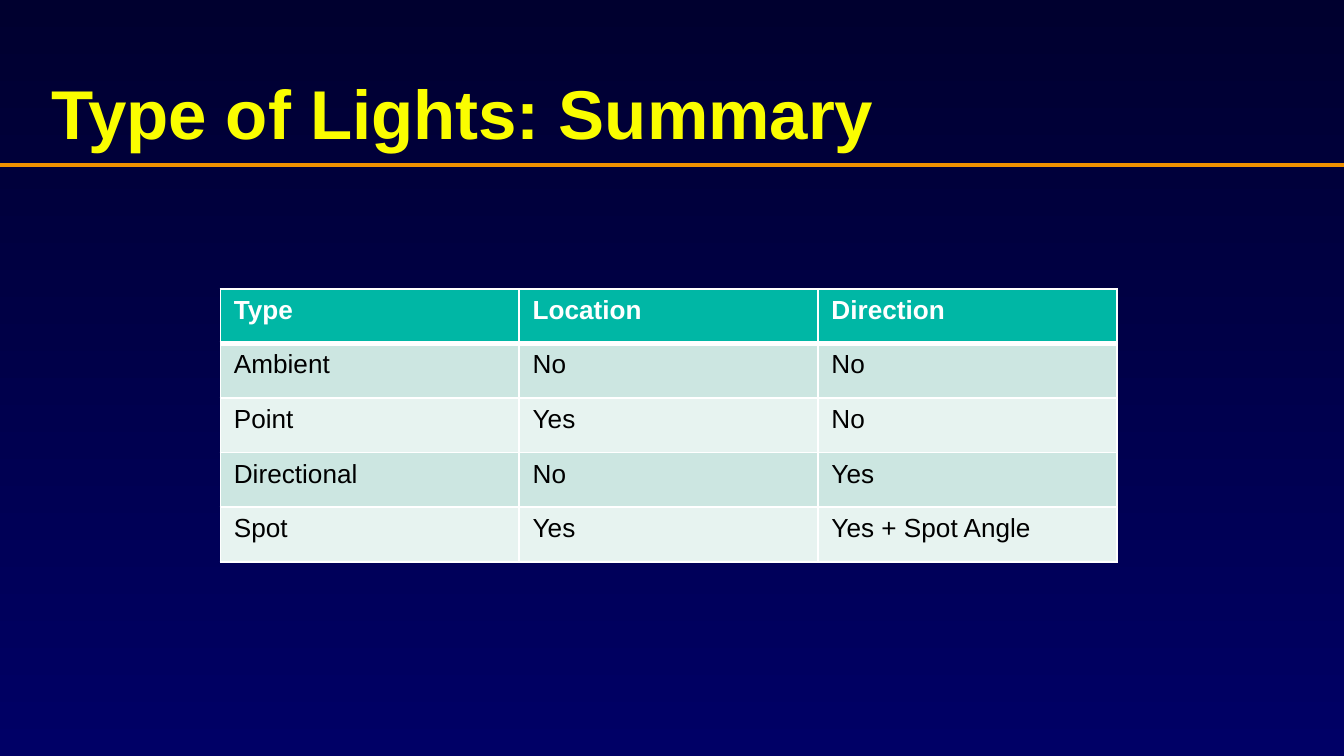
from dataclasses import dataclass

from lxml.etree import SubElement
from pptx import Presentation
from pptx.dml.color import RGBColor
from pptx.enum.shapes import MSO_CONNECTOR
from pptx.enum.text import MSO_ANCHOR, MSO_AUTO_SIZE, PP_ALIGN
from pptx.oxml.ns import qn
from pptx.util import Inches, Pt

WIDTH = Inches(10)
HEIGHT = WIDTH * 9 // 16
FONT = "Arial"


@dataclass(frozen=True)
class RowStyle:
    fill: str
    text: str
    bold: bool
    top: float
    bottom: float


HEADER = RowStyle("00B7A5", "FFFFFF", True, 1, 3)
FIRST = RowStyle("CCE6E1", "000000", False, 3, 1)
ODD = RowStyle("CCE6E1", "000000", False, 1, 1)
EVEN = RowStyle("E7F3F0", "000000", False, 1, 1)

LIGHTS = [
    (HEADER, ("Type", "Location", "Direction")),
    (FIRST, ("Ambient", "No", "No")),
    (EVEN, ("Point", "Yes", "No")),
    (ODD, ("Directional", "No", "Yes")),
    (EVEN, ("Spot", "Yes", "Yes + Spot Angle")),
]


def rgb(color: str) -> RGBColor:
    return RGBColor.from_string(color)


def set_font(paragraph, size: float, color: str, bold: bool) -> None:
    font = paragraph.font
    font.name, font.size, font.bold = FONT, Pt(size), bold
    font.color.rgb = rgb(color)


def set_background(slide) -> None:
    fill = slide.background.fill
    fill.gradient()
    fill.gradient_angle = 270
    for stop, position, color in zip(fill.gradient_stops, (0, 1), ("00002F", "000066")):
        stop.position = position
        stop.color.rgb = rgb(color)


def set_title(slide, text: str) -> None:
    title = slide.shapes.title
    title.left, title.top = Inches(0.28), Inches(0.25)
    title.width, title.height = Inches(9.38), Inches(0.94)
    frame = title.text_frame
    frame.text = text
    frame.auto_size = MSO_AUTO_SIZE.NONE
    frame.vertical_anchor = MSO_ANCHOR.BOTTOM
    heading = frame.paragraphs[0]
    heading.alignment = PP_ALIGN.LEFT
    heading.line_spacing = 1.04
    set_font(heading, 37, "FAFD00", True)


def add_title_rule(slide) -> None:
    y = Inches(1.23)
    rule = slide.shapes.add_connector(MSO_CONNECTOR.STRAIGHT, 0, y, WIDTH, y)
    rule.line.color.rgb = rgb("EF9100")
    rule.line.width = Pt(2)
    SubElement(rule.element.spPr, qn("a:effectLst"))


def set_borders(cell, style: RowStyle) -> None:
    properties = cell._tc.get_or_add_tcPr()
    widths = {"lnL": 1, "lnR": 1, "lnT": style.top, "lnB": style.bottom}
    for side, width in widths.items():
        border = SubElement(properties, qn(f"a:{side}"), w=str(Pt(width)))
        fill = SubElement(border, qn("a:solidFill"))
        SubElement(fill, qn("a:srgbClr"), val="FFFFFF")


def add_lights_table(slide) -> None:
    columns = len(LIGHTS[0][1])
    table = slide.shapes.add_table(
        len(LIGHTS), columns, Inches(1.64), Inches(2.15), Inches(6.67), Inches(2.03)
    ).table
    for row, (style, entries) in zip(table.rows, LIGHTS):
        for cell, entry in zip(row.cells, entries):
            cell.text = entry
            set_font(cell.text_frame.paragraphs[0], 14, style.text, style.bold)
            set_borders(cell, style)
            cell.fill.solid()
            cell.fill.fore_color.rgb = rgb(style.fill)


def main() -> None:
    deck = Presentation()
    deck.slide_width, deck.slide_height = WIDTH, HEIGHT
    slide = deck.slides.add_slide(deck.slide_layouts.get_by_name("Title Only"))
    set_background(slide)
    add_title_rule(slide)
    set_title(slide, "Type of Lights: Summary")
    add_lights_table(slide)
    deck.save("out.pptx")


if __name__ == "__main__":
    main()
